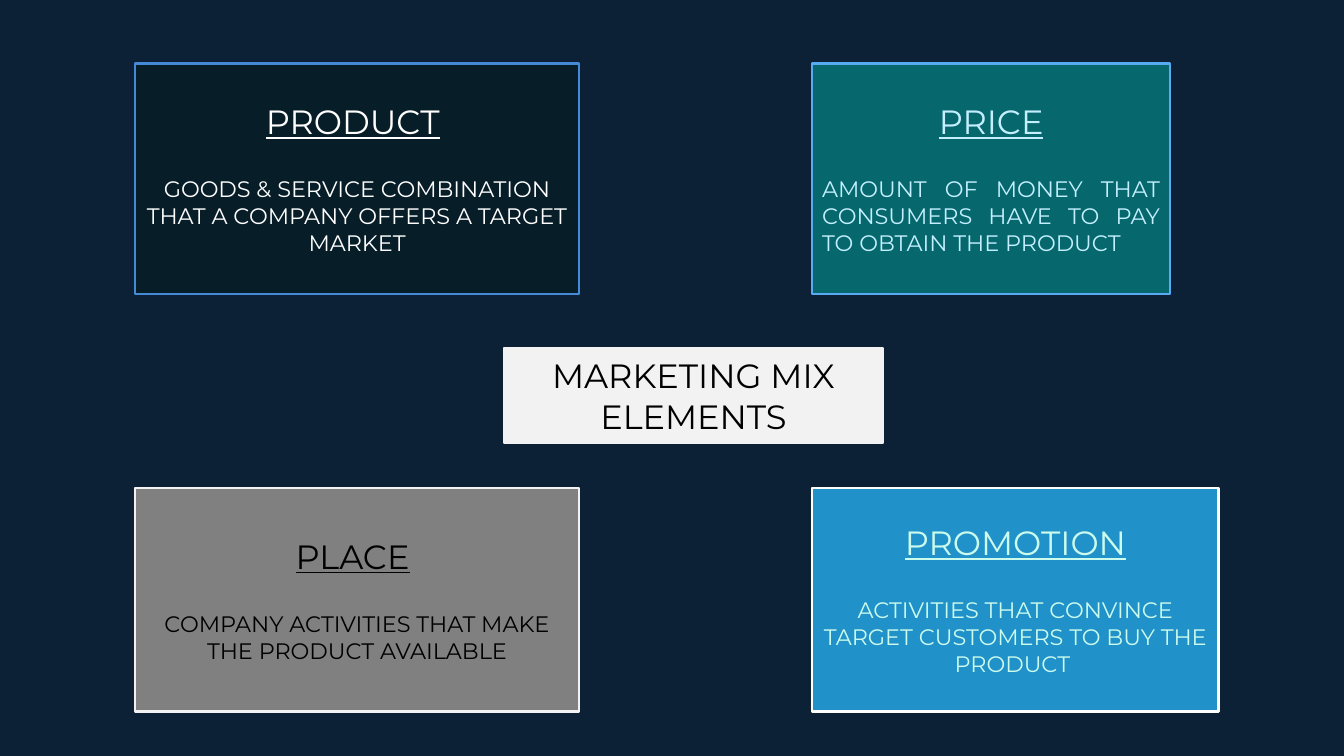
from pptx import Presentation
from pptx.dml.color import RGBColor
from pptx.enum.shapes import MSO_SHAPE
from pptx.enum.text import MSO_ANCHOR, PP_ALIGN
from pptx.util import Cm, Pt

FONT = "Montserrat"
NAVY = RGBColor(0x0C, 0x20, 0x36)
INK = RGBColor(0x07, 0x1D, 0x28)
BLUE = RGBColor(0x44, 0x8A, 0xD7)
TEAL = RGBColor(0x06, 0x68, 0x6C)
SKY = RGBColor(0x59, 0xAA, 0xF2)
ICE = RGBColor(0xC4, 0xEF, 0xFF)
GREY = RGBColor(0x80, 0x80, 0x80)
OFF_WHITE = RGBColor(0xF2, 0xF2, 0xF2)
AZURE = RGBColor(0x21, 0x91, 0xC9)
MINT = RGBColor(0xCA, 0xFB, 0xED)
WHITE = RGBColor(0xFF, 0xFF, 0xFF)
BLACK = RGBColor(0, 0, 0)

LEFT, RIGHT = Cm(3.4), Cm(20.47)
TOP, BOTTOM = Cm(1.6), Cm(12.29)
TOP_HEIGHT, BOTTOM_HEIGHT = Cm(5.8), Cm(5.64)


def add_box(page, left, top, width, height, fill, line):
    box = page.shapes.add_shape(MSO_SHAPE.RECTANGLE, left, top, width, height)
    box.shadow.inherit = False
    box.fill.solid()
    box.fill.fore_color.rgb = fill
    box.line.color.rgb = line
    box.line.width = Pt(1.5)
    box.text_frame.word_wrap = True
    box.text_frame.vertical_anchor = MSO_ANCHOR.MIDDLE
    return box


def style_paragraph(para, size, color, underline=False, align=PP_ALIGN.CENTER):
    para.alignment = align
    for span in para.runs:
        span.font.name = FONT
        span.font.size = Pt(size)
        span.font.color.rgb = color
        # A trailing space stays without underline
        span.font.underline = underline and span.text != " "


def add_card(page, place, fill, line, color, title, body,
             trailing_space=False, align=PP_ALIGN.CENTER):
    frame = add_box(page, *place, fill, line).text_frame
    frame.text = title
    heading = frame.paragraphs[0]
    if trailing_space:
        heading.add_run().text = " "
    style_paragraph(heading, 24, color, underline=True)

    description = frame.add_paragraph()
    description.text = body
    description.space_before = Pt(24.4)
    style_paragraph(description, 16, color, align=align)


def add_centre_title(page):
    box = add_box(page, Cm(12.7), Cm(8.76), Cm(9.55), Cm(2.41), OFF_WHITE, OFF_WHITE)
    box.text_frame.text = "MARKETING MIX\nELEMENTS"
    for para in box.text_frame.paragraphs:
        style_paragraph(para, 24, BLACK)


def main():
    deck = Presentation()
    deck.slide_width, deck.slide_height = Cm(33.87), Cm(19.05)
    page = deck.slides.add_slide(deck.slide_layouts[6])
    page.background.fill.solid()
    page.background.fill.fore_color.rgb = NAVY

    # Upper row
    add_card(page, (LEFT, TOP, Cm(11.2), TOP_HEIGHT), INK, BLUE, WHITE, "PRODUCT",
             "GOODS & SERVICE COMBINATION THAT A COMPANY OFFERS A TARGET MARKET",
             trailing_space=True)
    add_card(page, (RIGHT, TOP, Cm(9.02), TOP_HEIGHT), TEAL, SKY, ICE, "PRICE",
             "AMOUNT OF MONEY THAT CONSUMERS HAVE TO PAY TO OBTAIN THE PRODUCT",
             align=PP_ALIGN.JUSTIFY)

    # Centre
    add_centre_title(page)

    # Lower row
    add_card(page, (LEFT, BOTTOM, Cm(11.2), BOTTOM_HEIGHT), GREY, OFF_WHITE, BLACK, "PLACE",
             "COMPANY ACTIVITIES THAT MAKE THE PRODUCT AVAILABLE",
             trailing_space=True)
    add_card(page, (RIGHT, BOTTOM, Cm(10.24), BOTTOM_HEIGHT), AZURE, WHITE, MINT, "PROMOTION",
             "ACTIVITIES THAT CONVINCE TARGET CUSTOMERS TO BUY THE PRODUCT ")

    deck.save("out.pptx")


if __name__ == "__main__":
    main()
